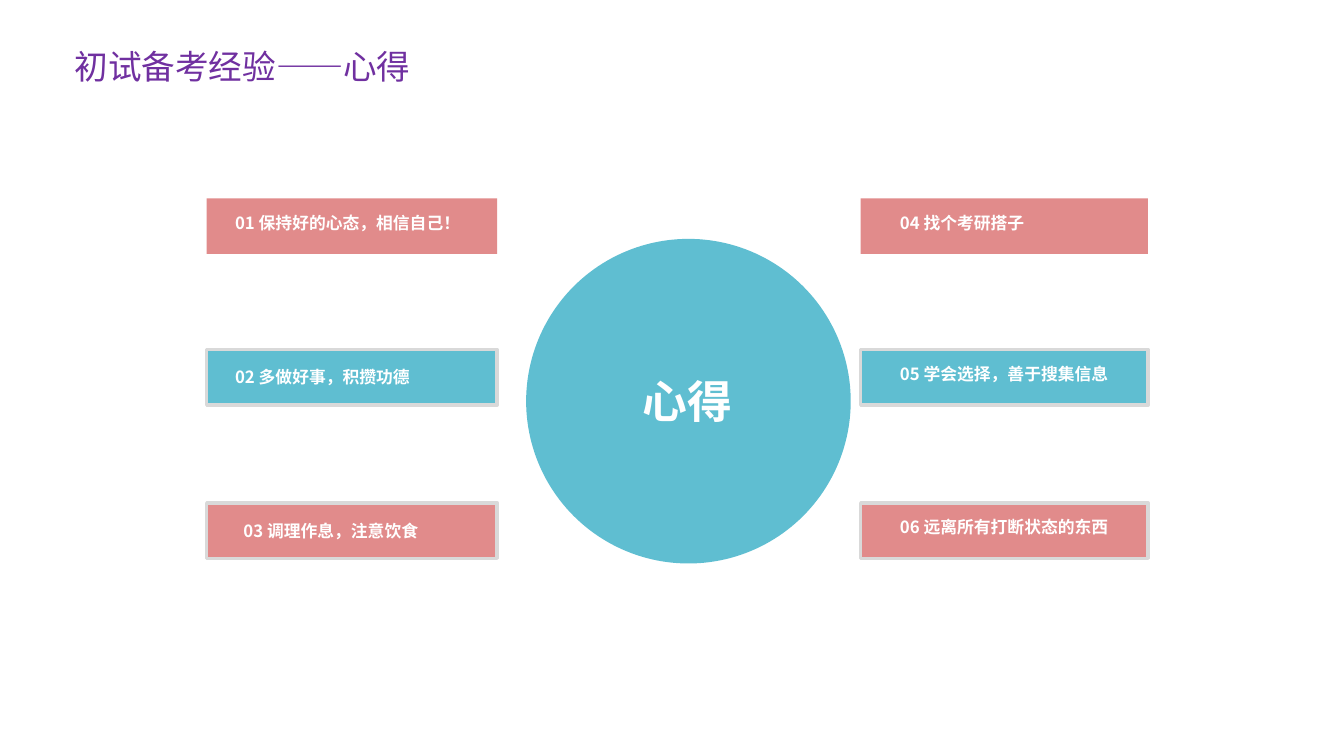
"""Build a slide with six study tips arranged around a central circle."""
from dataclasses import dataclass

import lxml.etree
import pptx
import pptx.dml.color
import pptx.enum.shapes
import pptx.enum.text
import pptx.oxml.ns
import pptx.slide
import pptx.util

Cm = pptx.util.Cm
RGBColor = pptx.dml.color.RGBColor
Shape = pptx.enum.shapes.MSO_SHAPE
Align = pptx.enum.text.PP_ALIGN

FONT = "Noto Sans CJK SC"
PINK = RGBColor(0xE1, 0x8B, 0x8B)
BLUE = RGBColor(0x5F, 0xBE, 0xD1)
GREY = RGBColor(0xD9, 0xD9, 0xD9)
WHITE = RGBColor(0xFF, 0xFF, 0xFF)
PURPLE = RGBColor(0x70, 0x30, 0xA0)

ROW_TOPS = (5.0, 8.81, 12.67)
ROW_FILLS = (PINK, BLUE, PINK)
CARD_HEIGHT = 1.4


@dataclass(frozen=True)
class Area:
    """A rectangle in centimetres."""

    left: float
    top: float
    width: float
    height: float

    def lengths(self) -> tuple[Cm, Cm, Cm, Cm]:
        """Return the rectangle as slide lengths."""
        return Cm(self.left), Cm(self.top), Cm(self.width), Cm(self.height)


@dataclass(frozen=True)
class Column:
    """A column of cards."""

    left: float
    width: float


@dataclass(frozen=True)
class Label:
    """A piece of text with its place and style."""

    text: str
    area: Area
    size: int = 12
    color: RGBColor = WHITE
    bold: bool = True
    align: Align = Align.LEFT
    side_inset: float = 0


def tip(text: str, left: float, top: float, align: Align) -> Label:
    """Describe the text of one card."""
    return Label(text, Area(left, top, 7.92, 1.17), align=align)


COLUMNS = (Column(5.21, 7.32), Column(21.69, 7.24))
CIRCLE = Area(13.26, 6.02, 8.18, 8.18)
LABELS = (
    tip("01 保持好的心态，相信自己！", 3.68, 5.23, Align.RIGHT),
    tip("02 多做好事，积攒功德", 2.41, 9.12, Align.RIGHT),
    tip("03 调理作息，注意饮食", 2.62, 12.98, Align.RIGHT),
    tip("04 找个考研搭子", 22.68, 5.23, Align.LEFT),
    tip("05 学会选择，善于搜集信息", 22.68, 9.04, Align.LEFT),
    tip("06 远离所有打断状态的东西", 22.68, 12.88, Align.LEFT),
    Label("心得", Area(14.27, 9.3, 6.12, 1.63), size=32, align=Align.CENTER, side_inset=0.25),
    Label("初试备考经验——心得", Area(1.63, 1.02, 9.5, 2.31), size=24, color=PURPLE,
          bold=False, side_inset=0.25),
)


def draw_shape(page: pptx.slide.Slide, kind: Shape, area: Area, fill: RGBColor,
               outlined: bool = False) -> None:
    """Draw a flat filled shape, with a grey outline if asked."""
    shape = page.shapes.add_shape(kind, *area.lengths())
    shape.shadow.inherit = False
    shape.fill.solid()
    shape.fill.fore_color.rgb = fill
    if kind == Shape.ROUNDED_RECTANGLE:
        shape.adjustments[0] = 0
    if outlined:
        shape.line.color.rgb = GREY
        shape.line.width = pptx.util.Pt(2.5)
    else:
        shape.line.fill.background()


def draw_label(page: pptx.slide.Slide, label: Label) -> None:
    """Draw one text box."""
    frame = page.shapes.add_textbox(*label.area.lengths()).text_frame
    frame.word_wrap = True
    frame.margin_left = frame.margin_right = Cm(label.side_inset)
    frame.margin_top = frame.margin_bottom = Cm(0.13)
    frame.text = label.text
    para = frame.paragraphs[0]
    para.alignment = label.align
    span = para.runs[0]
    span.font.name = FONT
    span.font.size = pptx.util.Pt(label.size)
    span.font.bold = label.bold
    span.font.color.rgb = label.color
    properties = span._r.get_or_add_rPr()
    lxml.etree.SubElement(properties, pptx.oxml.ns.qn("a:ea"), typeface=FONT)


def main() -> None:
    """Build and save the deck."""
    deck = pptx.Presentation()
    deck.slide_width, deck.slide_height = Cm(33.87), Cm(19.05)
    page = deck.slides.add_slide(deck.slide_layouts[6])
    for column in COLUMNS:
        for row, (top, fill) in enumerate(zip(ROW_TOPS, ROW_FILLS)):
            card = Area(column.left, top, column.width, CARD_HEIGHT)
            draw_shape(page, Shape.ROUNDED_RECTANGLE, card, fill, outlined=row > 0)
    draw_shape(page, Shape.OVAL, CIRCLE, BLUE)
    for label in LABELS:
        draw_label(page, label)
    deck.save("out.pptx")


if __name__ == "__main__":
    main()
